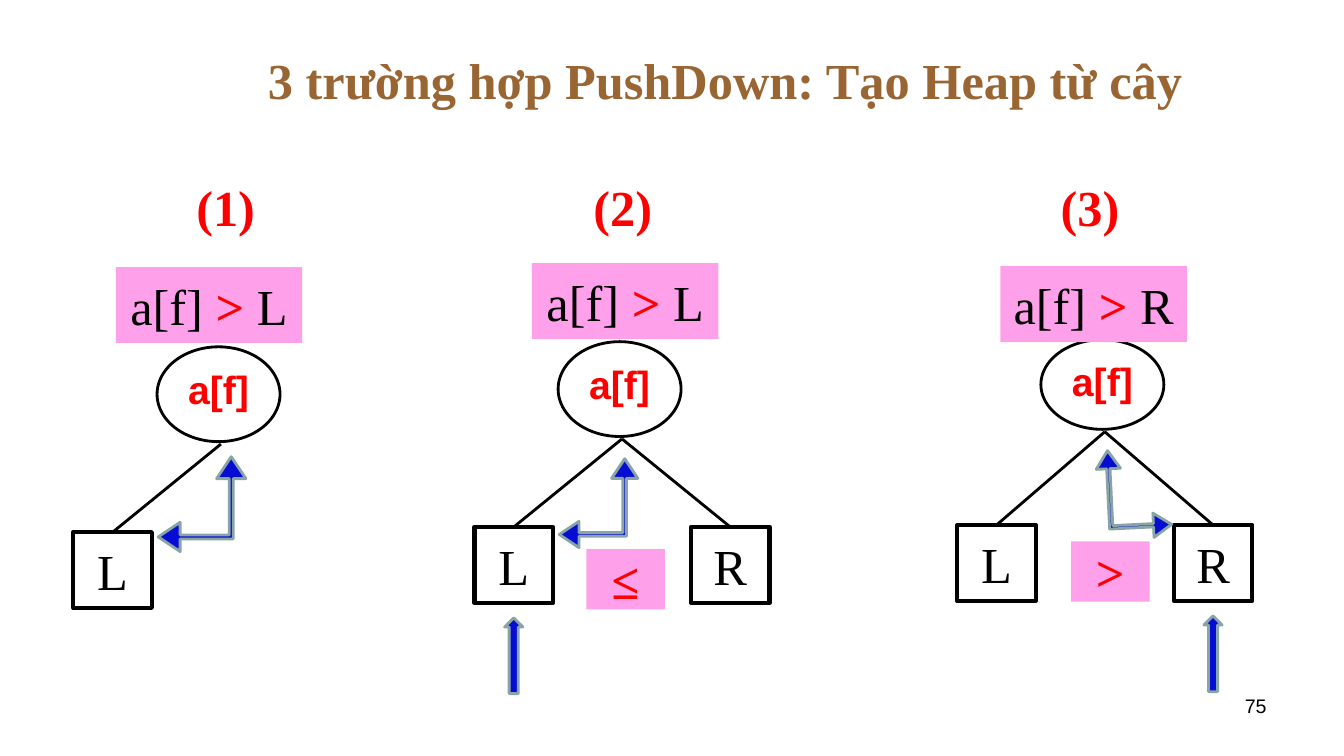
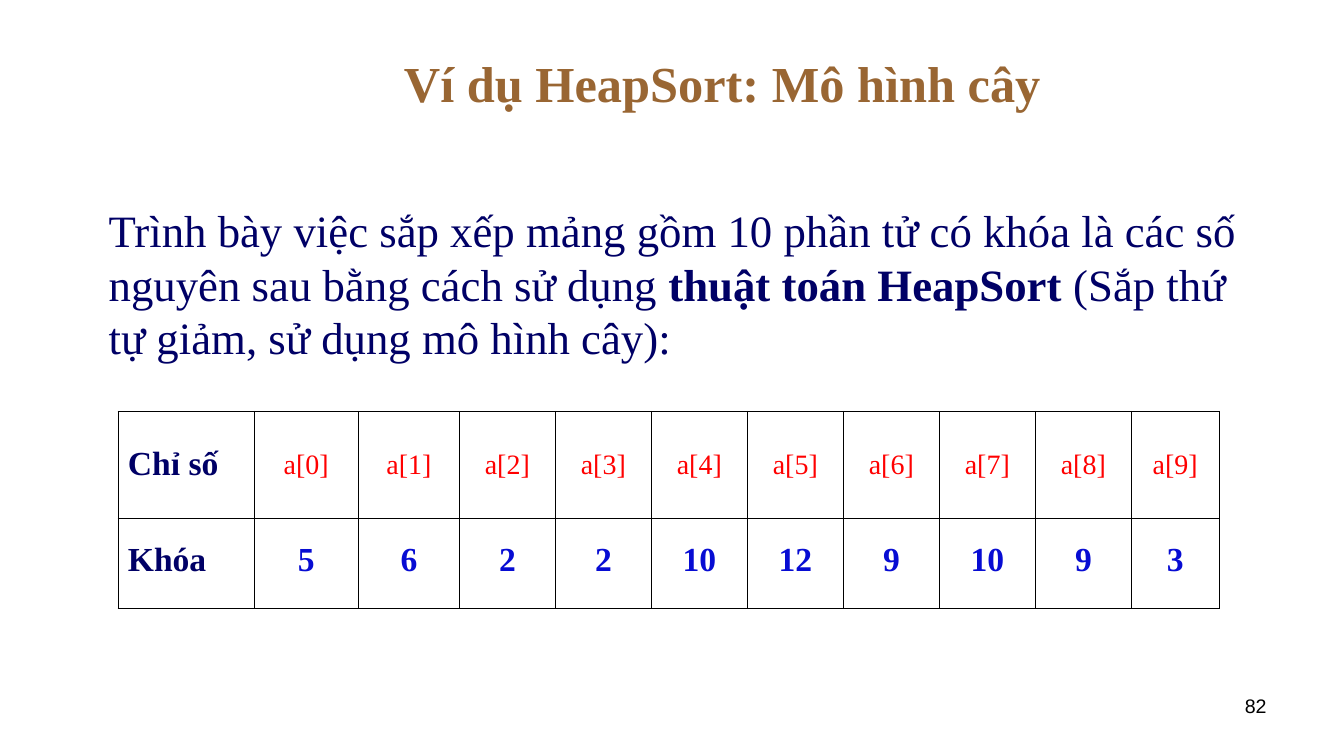
from lxml import etree
from pptx import Presentation
from pptx.dml.color import RGBColor
from pptx.enum.shapes import MSO_CONNECTOR, MSO_SHAPE
from pptx.enum.text import MSO_ANCHOR, PP_ALIGN
from pptx.oxml.ns import qn
from pptx.util import Cm, Pt

LEFT, CENTER, RIGHT = PP_ALIGN.LEFT, PP_ALIGN.CENTER, PP_ALIGN.RIGHT
TOP, MIDDLE = MSO_ANCHOR.TOP, MSO_ANCHOR.MIDDLE
RECT, OVAL = MSO_SHAPE.RECTANGLE, MSO_SHAPE.OVAL
BENT_ARROW, UP_ARROW = MSO_SHAPE.LEFT_UP_ARROW, MSO_SHAPE.UP_ARROW
STRAIGHT = MSO_CONNECTOR.STRAIGHT


class Theme:
    serif, sans = "Times New Roman", "Arial"
    white, black, red = "FFFFFF", "000000", "FF0000"
    brown, navy, blue = "996633", "000066", "070CD3"
    pink, steel = "FEA0EA", "89A4A7"
    heading, body, node, key, index, page = 36, 32, 28, 24, 20, 14
    thin, thick, border = 2, 3, 0.45


def write(tf, *runs, size=Theme.heading, font=Theme.serif, color=Theme.black,
          bold=False, align=CENTER, spacing=None):
    """Fill the first paragraph; a run is text or (text, color, bold)."""
    p = tf.paragraphs[0]
    p.alignment = align
    if spacing:
        p.line_spacing = spacing
    for run in runs:
        text, run_color, run_bold = (run, color, bold) if isinstance(run, str) else run
        r = p.add_run()
        r.text = text
        r.font.name, r.font.size, r.font.bold = font, Pt(size), run_bold
        r.font.color.rgb = RGBColor.from_string(run_color)


def add_box(slide, kind, rect, fill=None, line=None, width=Theme.thin,
            anchor=MIDDLE, wrap=False):
    """Add a shape, or a text box when kind is None; rect is in cm."""
    lengths = [Cm(v) for v in rect]
    if kind is None:
        sp = slide.shapes.add_textbox(*lengths)
    else:
        sp = slide.shapes.add_shape(kind, *lengths)
        sp.shadow.inherit = False
        sp.fill.solid()
        sp.fill.fore_color.rgb = RGBColor.from_string(fill)
        if line:
            sp.line.color.rgb = RGBColor.from_string(line)
            sp.line.width = Pt(width)
        else:
            sp.line.fill.background()
    sp.text_frame.word_wrap = wrap
    sp.text_frame.vertical_anchor = anchor
    return sp


prs = Presentation()
prs.slide_width, prs.slide_height = Cm(33.88), Cm(19.05)

# Title and page number of every slide
PAGES = [
    ("3 trường hợp PushDown: Tạo Heap từ cây", (6.2, 0.69, 24.16, 2.62), "75"),
    ("Ví dụ HeapSort: Mô hình cây", (4.24, 0.76, 27.94, 2.62), "82"),
]
slides = []
for title, rect, number in PAGES:
    s = prs.slides.add_slide(prs.slide_layouts[6])
    slides.append(s)
    sp = add_box(s, None, rect, wrap=True)
    write(sp.text_frame, title, color=Theme.brown, bold=True)
    sp = add_box(s, None, (24.28, 17.35, 7.9, 1.32), anchor=TOP, wrap=True)
    write(sp.text_frame, number, size=Theme.page, font=Theme.sans, align=RIGHT)
cases_slide, example_slide = slides

# Slide 1: three trees, each placed from its root
ROOT_W, CHILD_W, CHILD_H = 3.1, 1.98, 1.91
CHILD_DX = {"L": -2.11, "R": 3.35}
CHILD_DY = 4.67
EDGE_GAP = 0.06
CASES = [
    dict(label="(1)", label_x=4.32, root=(3.96, 8.74), root_h=2.39, children="L",
         larger="L", test=(2.92, 6.73), swap=(3.99, 11.51, 2.21, 2.39), turn=0,
         compare=None),
    dict(label="(2)", label_x=14.33, root=(14.07, 8.61), root_h=2.39, children="LR",
         larger="L", test=(13.41, 6.63), swap=(14.1, 11.56, 1.98, 2.24), turn=0,
         compare=("≤", 14.78, 13.84)),
    dict(label="(3)", label_x=26.11, root=(26.24, 8.56), root_h=2.26, children="LR",
         larger="R", test=(25.22, 6.71), swap=(27.46, 11.53, 2.24, 1.83), turn=87.2,
         compare=(">", 27, 13.64)),
]
for case in CASES:
    s = cases_slide
    x, y = case["root"]
    sp = add_box(s, None, (case["label_x"], 4.24, 2.74, 1.91))
    write(sp.text_frame, case["label"], color=Theme.red, bold=True)

    sp = add_box(s, OVAL, (x, y, ROOT_W, case["root_h"]), Theme.white, Theme.black,
                 anchor=TOP)
    write(sp.text_frame, "a[f]", size=Theme.node, font=Theme.sans, color=Theme.red,
          bold=True)

    foot = Cm(x + ROOT_W / 2 + EDGE_GAP), Cm(y + case["root_h"] + EDGE_GAP)
    for name in case["children"]:
        child_x, child_y = x + CHILD_DX[name], y + CHILD_DY
        child = add_box(s, RECT, (child_x, child_y, CHILD_W, CHILD_H), Theme.white,
                        Theme.black, Theme.thick)
        write(child.text_frame, name)
        edge = s.shapes.add_connector(STRAIGHT, *foot, *foot)
        edge.end_connect(child, 0)
        edge.line.color.rgb = RGBColor.from_string(Theme.black)
        edge.line.width = Pt(Theme.thin)
        etree.SubElement(edge._element.spPr, qn("a:effectLst"))
        if case["compare"] and name == case["larger"]:
            pointer_x = child_x + CHILD_W / 2 - 0.23
            add_box(s, UP_ARROW, (pointer_x, child_y + CHILD_H + 0.38, 0.46, 1.91),
                    Theme.blue, Theme.steel)

    swap = add_box(s, BENT_ARROW, case["swap"], Theme.blue, Theme.steel)
    swap.rotation = case["turn"]
    for i, value in enumerate((0.046, 0.167, 0.25)):
        swap.adjustments[i] = value

    sp = add_box(s, RECT, (*case["test"], 4.7, 1.91), Theme.pink)
    write(sp.text_frame, "a[f] ", (">", Theme.red, True), " " + case["larger"])
    if case["compare"]:
        sign, sign_x, sign_y = case["compare"]
        sp = add_box(s, RECT, (sign_x, sign_y, 1.98, 1.52), Theme.pink)
        write(sp.text_frame, sign, color=Theme.red, bold=True)

# Slide 2: the task and its array
sp = add_box(example_slide, None, (2.49, 4.98, 29.64, 12.37), anchor=TOP, wrap=True)
write(sp.text_frame,
      "Trình bày việc sắp xếp mảng gồm 10 phần tử có khóa là các số nguyên sau "
      "bằng cách sử dụng ",
      ("thuật toán HeapSort ", Theme.navy, True),
      "(Sắp thứ tự giảm, sử dụng mô hình cây):",
      size=Theme.body, color=Theme.navy, align=LEFT)

KEYS = [5, 6, 2, 2, 10, 12, 9, 10, 9, 3]
ROWS = [
    ["Chỉ số"] + [f"a[{i}]" for i in range(len(KEYS))],
    ["Khóa"] + [str(key) for key in KEYS],
]
COL_WIDTHS = [3.43, 2.64, 2.54] + [2.42] * 7 + [2.21]
ROW_HEIGHTS = [2.69, 2.29]
HEAD_FORMAT = dict(size=Theme.key, color=Theme.navy, bold=True, align=LEFT)
ROW_FORMATS = [
    dict(size=Theme.index, color=Theme.red),
    dict(size=Theme.key, color=Theme.blue, bold=True),
]
table = example_slide.shapes.add_table(
    len(ROWS), len(COL_WIDTHS), Cm(2.97), Cm(10.36),
    Cm(sum(COL_WIDTHS)), Cm(sum(ROW_HEIGHTS))).table
table.first_row = table.horz_banding = False
for column, width in zip(table.columns, COL_WIDTHS):
    column.width = Cm(width)
for i, texts in enumerate(ROWS):
    table.rows[i].height = Cm(ROW_HEIGHTS[i])
    for j, text in enumerate(texts):
        cell = table.cell(i, j)
        cell.vertical_anchor = MIDDLE
        write(cell.text_frame, text, spacing=0.7 if i else None,
              **(ROW_FORMATS[i] if j else HEAD_FORMAT))
        tc_pr = cell._tc.get_or_add_tcPr()
        for side in ("a:lnL", "a:lnR", "a:lnT", "a:lnB"):
            ln = etree.SubElement(tc_pr, qn(side), w=str(int(Pt(Theme.border))))
            fill = etree.SubElement(ln, qn("a:solidFill"))
            etree.SubElement(fill, qn("a:srgbClr"), val=Theme.black)
        cell.fill.background()

prs.save("out.pptx")
